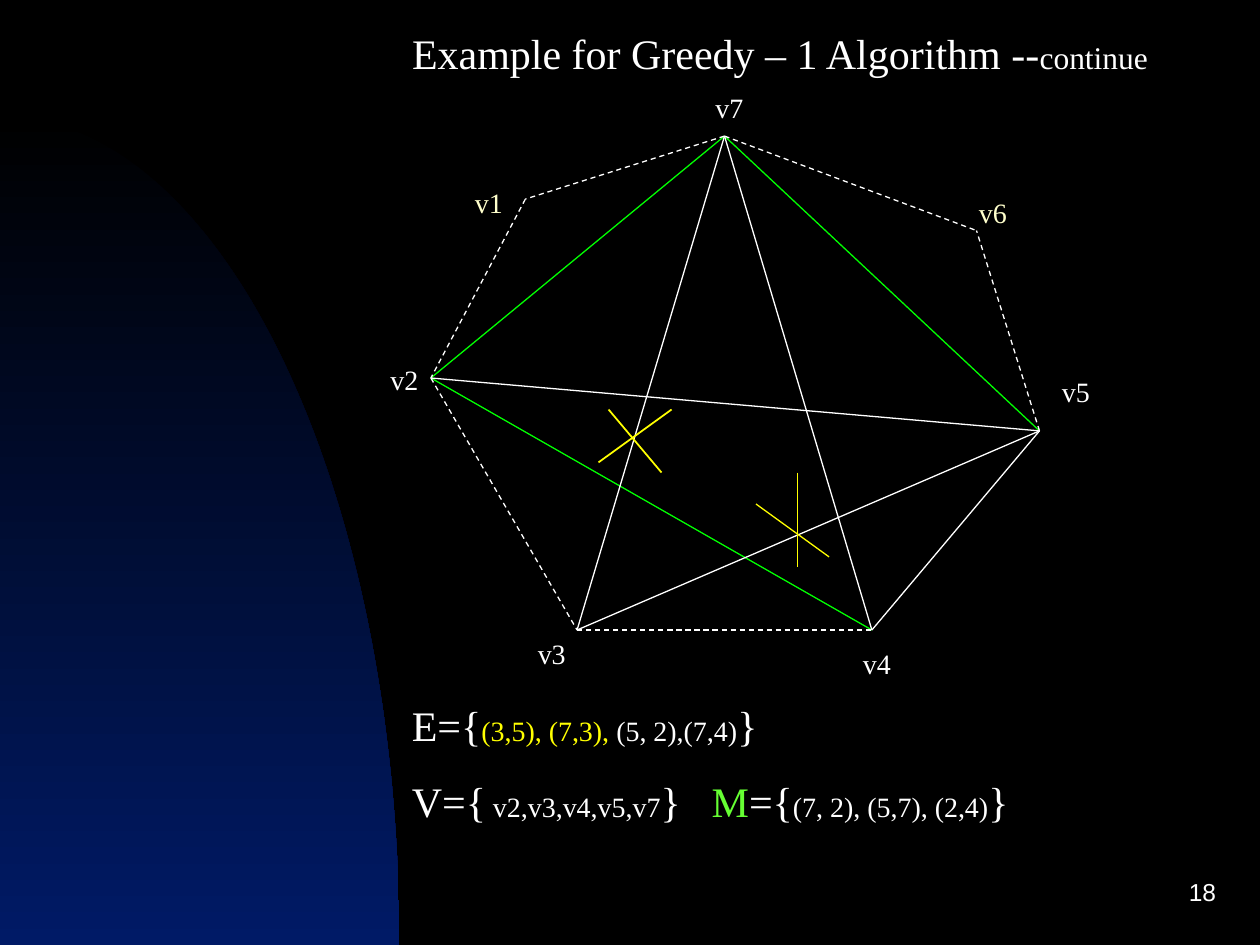
from math import cos, pi, sin

from lxml.etree import SubElement
from pptx import Presentation
from pptx.dml.color import RGBColor
from pptx.enum.dml import MSO_LINE
from pptx.enum.shapes import MSO_CONNECTOR
from pptx.enum.text import MSO_ANCHOR, MSO_AUTO_SIZE, PP_ALIGN
from pptx.oxml.ns import qn
from pptx.util import Inches, Pt

WHITE, CREAM, YELLOW = "FFFFFF", "FFFFCC", "FFFF00"
GREEN, LIME = "00FF00", "66FF33"

# A run is text, size, colour
TITLE = [("Example for Greedy – 1 Algorithm --", 24, WHITE), ("continue", 18, WHITE)]
SETS = [
    [("E={", 24, WHITE), ("(3,5), (7,3),", 16, YELLOW),
     (" (5, 2),(7,4)", 16, WHITE), ("}", 24, WHITE)],
    [("V={", 24, WHITE), (" v2,v3,v4,v5,v7", 16, WHITE), ("}\t", 24, WHITE),
     ("M", 24, LIME), ("={", 24, WHITE),
     ("(7, 2), (5,7), (2,4)", 16, WHITE), ("}", 24, WHITE)],
]
NODES = {
    1: (4.17, 1.58), 2: (3.42, 3), 3: (4.58, 5), 4: (6.92, 5),
    5: (8.25, 3.42), 6: (7.75, 1.83), 7: (5.75, 1.08),
}
# Node: left, top, width, colour of its label
LABELS = {
    1: (3.67, 1.42, 0.75, CREAM), 2: (3, 2.83, 0.58, WHITE),
    3: (4.17, 5, 0.67, WHITE), 4: (6.75, 5.08, 0.58, WHITE),
    5: (8.33, 2.92, 0.58, WHITE), 6: (7.67, 1.5, 0.58, CREAM),
    7: (5.58, 0.67, 0.58, WHITE),
}
MATCHED = [(5, 7), (7, 2), (2, 4)]
DASHED = [(7, 1), (1, 2), (2, 3), (3, 4), (5, 6), (7, 6)]
SOLID = [(3, 5), (4, 5), (7, 3), (7, 4), (2, 5)]
# Strokes that cross out an edge: start, end, width
CROSSES = [
    ((4.83, 3.25), (5.25, 3.75), 1), ((5.33, 3.25), (4.75, 3.67), 1),
    ((6, 4), (6.58, 4.42), 0.75), ((6.33, 3.75), (6.33, 4.5), 0.75),
]


def color(code):
    return RGBColor.from_string(code)


def write(shape, paras, font="Times New Roman", align=PP_ALIGN.LEFT,
          anchor=MSO_ANCHOR.TOP, before=0, tab=None):
    frame = shape.text_frame
    frame.word_wrap = True
    frame.auto_size = MSO_AUTO_SIZE.NONE
    frame.vertical_anchor = anchor
    for i, runs in enumerate(paras):
        para = frame.add_paragraph() if i else frame.paragraphs[0]
        para.alignment = align
        para.space_before = Pt(before)
        if tab:
            stops = SubElement(para._p.get_or_add_pPr(), qn("a:tabLst"))
            SubElement(stops, qn("a:tab"), pos=str(Inches(tab)), algn="l")
        for text, size, code in runs:
            run = para.add_run()
            run.text = text
            run.font.name = font
            run.font.size = Pt(size)
            run.font.color.rgb = color(code)


def add_text(slide, box, paras, **style):
    write(slide.shapes.add_textbox(*map(Inches, box)), paras, **style)


def add_line(slide, start, end, code=WHITE, width=0.75, dash=False):
    line = slide.shapes.add_connector(
        MSO_CONNECTOR.STRAIGHT, *map(Inches, start + end))
    line.line.color.rgb = color(code)
    line.line.width = Pt(width)
    if dash:
        line.line.dash_style = MSO_LINE.DASH
    SubElement(line._element.spPr, qn("a:effectLst"))


def add_curve(slide, wide=3.17, top=0.92, base=7.5, steps=90):
    """Draw the quarter ellipse that fills the lower left corner."""
    turns = [pi / 2 * i / steps for i in range(steps + 1)]
    points = [(Inches(wide * sin(t)), Inches(base - (base - top) * cos(t)))
              for t in turns]
    form = slide.shapes.build_freeform(0, Inches(base))
    form.add_line_segments(points, close=True)
    curve = form.convert_to_shape()
    curve.shadow.inherit = False
    curve.line.fill.background()
    curve.fill.gradient()
    curve.fill.gradient_angle = 270
    for stop, code in zip(curve.fill.gradient_stops, ("000000", "001A66")):
        stop.color.rgb = color(code)
    for stop, place in zip(curve.fill.gradient_stops, (0, 1)):
        stop.position = place


def main():
    deck = Presentation()
    deck.slide_width, deck.slide_height = Inches(10), Inches(7.5)
    slide = deck.slides.add_slide(deck.slide_layouts[5])
    slide.background.fill.solid()
    slide.background.fill.fore_color.rgb = color("000000")
    add_curve(slide)

    title = slide.shapes.title
    title.left, title.top, title.width, title.height = map(
        Inches, (3.17, 0.17, 6.08, 0.5))
    write(title, [TITLE], before=11.2)

    for a, b in MATCHED:
        add_line(slide, NODES[a], NODES[b], GREEN)
    for a, b in DASHED:
        add_line(slide, NODES[a], NODES[b], dash=True)
    for a, b in SOLID:
        add_line(slide, NODES[a], NODES[b])
    for start, end, width in CROSSES:
        add_line(slide, start, end, YELLOW, width)

    for node, (left, top, width, code) in LABELS.items():
        add_text(slide, (left, top, width, 0.37),
                 [[(f"v{node}", 16, code)]], before=10)
    add_text(slide, (3.17, 5.5, 5.58, 1.11), SETS, before=15, tab=2.38)
    add_text(slide, (7.67, 6.83, 2.08, 0.5), [[("18", 14, WHITE)]],
             font="Arial", align=PP_ALIGN.RIGHT, anchor=MSO_ANCHOR.MIDDLE)
    deck.save("out.pptx")


if __name__ == "__main__":
    main()
